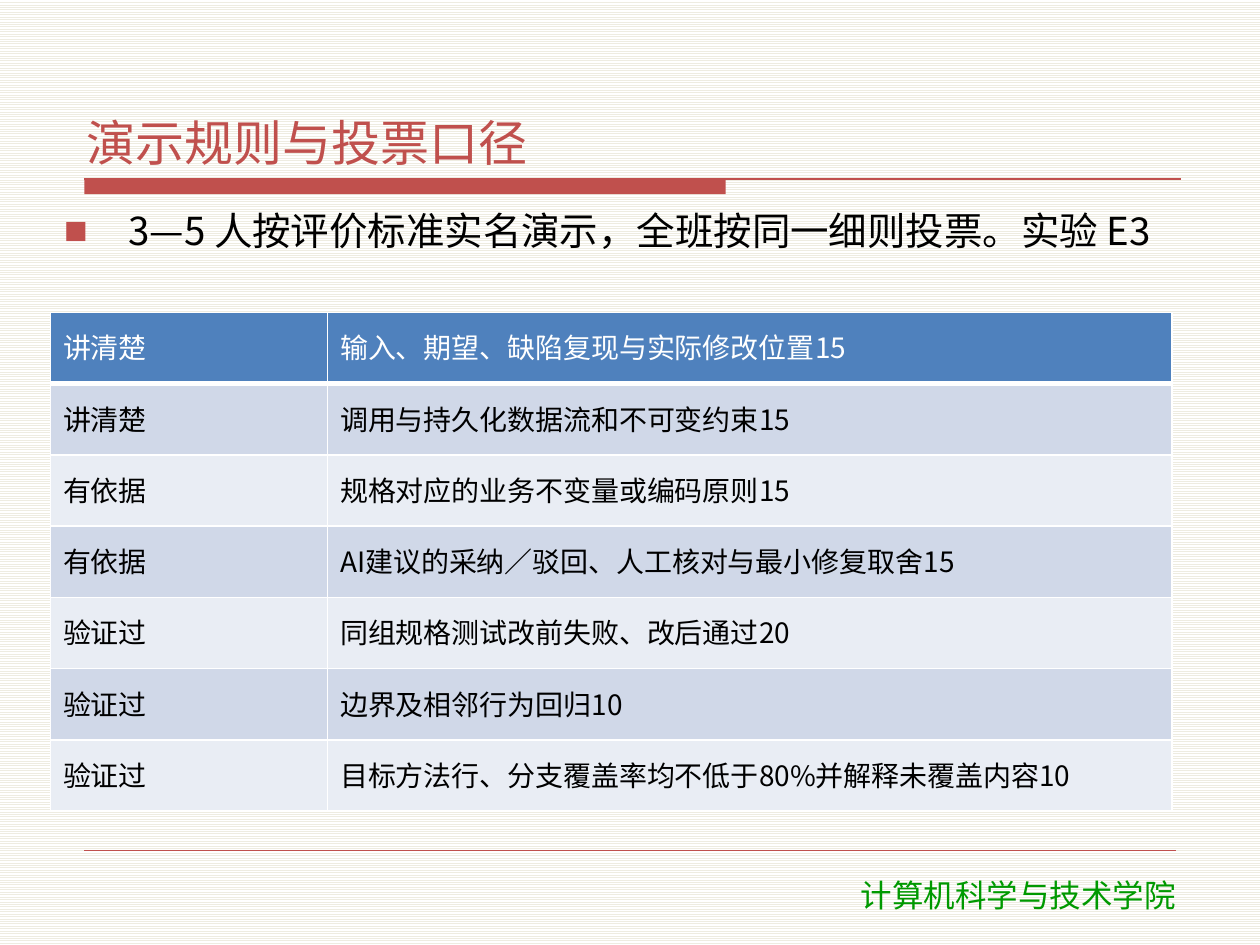
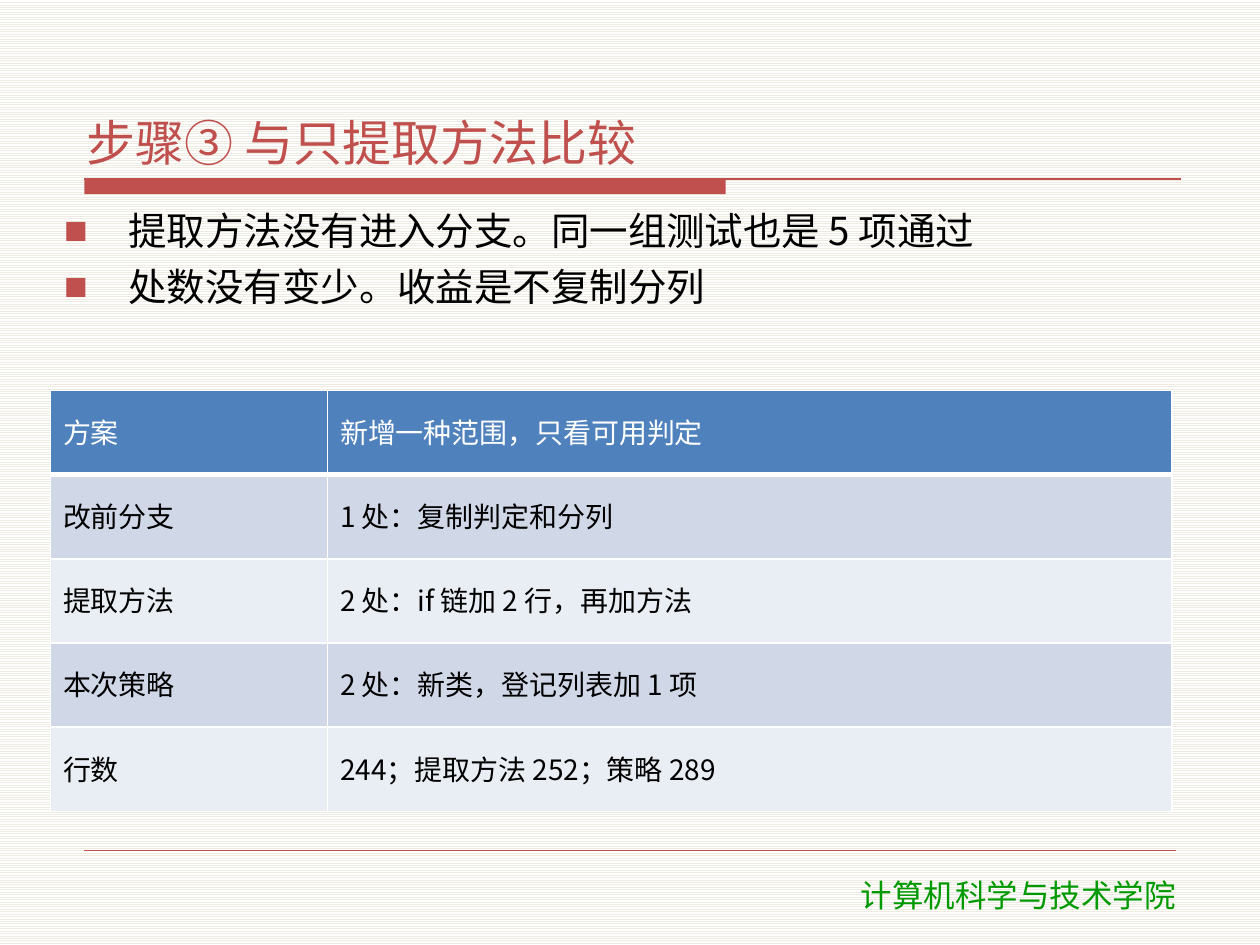
import pptx
import pptx.util
import pptx.dml.color
import pptx.enum.dml
import pptx.enum.shapes
import pptx.enum.text
import pptx.oxml.ns
from lxml import etree

Inches, Pt = pptx.util.Inches, pptx.util.Pt
ALIGN, ANCHOR = pptx.enum.text.PP_ALIGN, pptx.enum.text.MSO_ANCHOR

COLORS = {
    "red": "C0504D", "green": "009900", "black": "000000", "white": "FFFFFF",
    "cream": "EEECE1", "head": "4F81BD", "odd": "D0D8E8", "even": "E9EDF4",
}
FONT = "Noto Sans CJK SC"
FOOT_FONT = "DejaVu Sans"
INSET = (0.06, 0.02, 0.06, 0.02)
BOTTOM = 6.44  # lower edge of every table


def color(name):
    return pptx.dml.color.RGBColor.from_string(COLORS[name])


def child(parent, tag, **attrs):
    return etree.SubElement(parent, pptx.oxml.ns.qn(tag), attrs)


def paint(parent, name):
    child(child(parent, "a:solidFill"), "a:srgbClr", val=COLORS[name])


def bullet(para):
    props = para._p.get_or_add_pPr()
    props.set("marL", str(Inches(0.51)))
    props.set("indent", str(Inches(-0.51)))
    child(child(props, "a:buClr"), "a:srgbClr", val=COLORS["red"])
    child(props, "a:buSzPct", val="65000")
    child(props, "a:buFont", typeface=FOOT_FONT)
    child(props, "a:buChar", char="■")


def write(frame, *lines, size, ink, font=FONT, align=ALIGN.LEFT, anchor=ANCHOR.TOP,
          inset=None, before=0, after=0, spacing=None, marked=False):
    """Fill a text frame with one paragraph per line."""
    frame.word_wrap = True
    frame.vertical_anchor = anchor
    if inset:
        (frame.margin_left, frame.margin_top,
         frame.margin_right, frame.margin_bottom) = map(Inches, inset)
    for i, line in enumerate(lines):
        para = frame.add_paragraph() if i else frame.paragraphs[0]
        if marked:
            bullet(para)
        para.alignment = align
        para.space_before = Pt(before if i else 0)
        para.space_after = Pt(after)
        if spacing:
            para.line_spacing = spacing
        run = para.add_run()
        run.text = line
        run.font.size = Pt(size)
        run.font.color.rgb = color(ink)
        run.font.name = font
        child(run._r.get_or_add_rPr(), "a:ea", typeface=font)


def rule(slide, left, top, right, width):
    line = slide.shapes.add_connector(
        pptx.enum.shapes.MSO_CONNECTOR.STRAIGHT,
        Inches(left), Inches(top), Inches(right), Inches(top))
    line.line.color.rgb = color("red")
    line.line.width = Pt(width)
    child(line._element.spPr, "a:effectLst")


def header(slide, text, left, top, width, height):
    # Title above a thick bar that runs on as a thin line
    title = slide.shapes.title
    title.left, title.top = Inches(left), Inches(top)
    title.width, title.height = Inches(width), Inches(height)
    title.text_frame.auto_size = pptx.enum.text.MSO_AUTO_SIZE.NONE
    write(title.text_frame, text, size=28, ink="red", anchor=ANCHOR.BOTTOM,
          inset=INSET, after=2)
    x, y = left + 0.04, top + height + 0.04
    bar = slide.shapes.add_shape(
        pptx.enum.shapes.MSO_SHAPE.RECTANGLE,
        Inches(x), Inches(y), Inches(5.09), Inches(0.12))
    bar.shadow.inherit = False
    bar.fill.solid()
    bar.fill.fore_color.rgb = color("red")
    bar.line.fill.background()
    rule(slide, x, y, x + 8.7, 0.75)


def footer(slide, left, top, width):
    rule(slide, left, top, left + width, 0.25)
    box = slide.shapes.add_textbox(
        Inches(left + 5.4), Inches(top + 0.15), Inches(4.02), Inches(0.4))
    write(box.text_frame, "计算机科学与技术学院", size=18, ink="green",
          font=FOOT_FONT, align=ALIGN.CENTER)


def points(slide, lines, left, top, width, height):
    box = slide.shapes.add_textbox(*map(Inches, (left, top, width, height)))
    write(box.text_frame, *lines, size=22, ink="black", inset=INSET,
          before=4, after=2, marked=True)


def border(cell, head):
    props = cell._tc.get_or_add_tcPr()
    for i, side in enumerate("LRTB"):
        width = Pt(3 if head and side == "B" else 1)
        line = etree.Element(pptx.oxml.ns.qn(f"a:ln{side}"), w=str(width))
        paint(line, "white")
        props.insert(i, line)  # borders come before the fill


def grid(slide, rows, left, top, width, height):
    table = slide.shapes.add_table(
        len(rows), 2, *map(Inches, (left, top, width, height))).table
    table.columns[0].width = Inches(2.2)
    table.columns[1].width = Inches(width - 2.2)
    for r, row in enumerate(rows):
        shade = ("odd" if r % 2 else "even") if r else "head"
        for c, text in enumerate(row):
            cell = table.cell(r, c)
            cell.fill.solid()
            cell.fill.fore_color.rgb = color(shade)
            border(cell, r == 0)
            write(cell.text_frame, text, size=16, after=2, spacing=0.9,
                  ink="black" if r else "white")
            cell.vertical_anchor = ANCHOR.MIDDLE


def page(deck, title, lines, depth, rows):
    """Add a slide with a title, bullet points and a two-column table."""
    slide = deck.slides.add_slide(deck.slide_layouts[5])
    header(slide, title, 0.63, 0.33, 8.75, 1.05)
    footer(slide, 0.67, 6.75, 8.66)
    points(slide, lines, 0.45, 1.62, 9.1, depth)
    top = 1.62 + depth + 0.08
    grid(slide, rows, 0.4, top, 8.9, BOTTOM - top)


def backdrop(deck):
    fill = deck.slide_master.background.fill
    fill.patterned()
    fill.pattern = pptx.enum.dml.MSO_PATTERN.LIGHT_HORIZONTAL
    fill.fore_color.rgb = color("cream")
    fill.back_color.rgb = color("white")


RULES = [
    ("讲清楚", "输入、期望、缺陷复现与实际修改位置15"),
    ("讲清楚", "调用与持久化数据流和不可变约束15"),
    ("有依据", "规格对应的业务不变量或编码原则15"),
    ("有依据", "AI建议的采纳／驳回、人工核对与最小修复取舍15"),
    ("验证过", "同组规格测试改前失败、改后通过20"),
    ("验证过", "边界及相邻行为回归10"),
    ("验证过", "目标方法行、分支覆盖率均不低于80%并解释未覆盖内容10"),
]
PLANS = [
    ("方案", "新增一种范围，只看可用判定"),
    ("改前分支", "1 处：复制判定和分列"),
    ("提取方法", "2 处：if 链加 2 行，再加方法"),
    ("本次策略", "2 处：新类，登记列表加 1 项"),
    ("行数", "244；提取方法 252；策略 289"),
]


def main():
    deck = pptx.Presentation()
    deck.slide_width, deck.slide_height = Inches(10), Inches(7.5)
    backdrop(deck)
    page(deck, "演示规则与投票口径",
         ["3—5 人按评价标准实名演示，全班按同一细则投票。实验 E3"], 0.78, RULES)
    page(deck, "步骤③ 与只提取方法比较",
         ["提取方法没有进入分支。同一组测试也是 5 项通过",
          "处数没有变少。收益是不复制分列"], 1.4, PLANS)
    deck.save("out.pptx")


if __name__ == "__main__":
    main()
